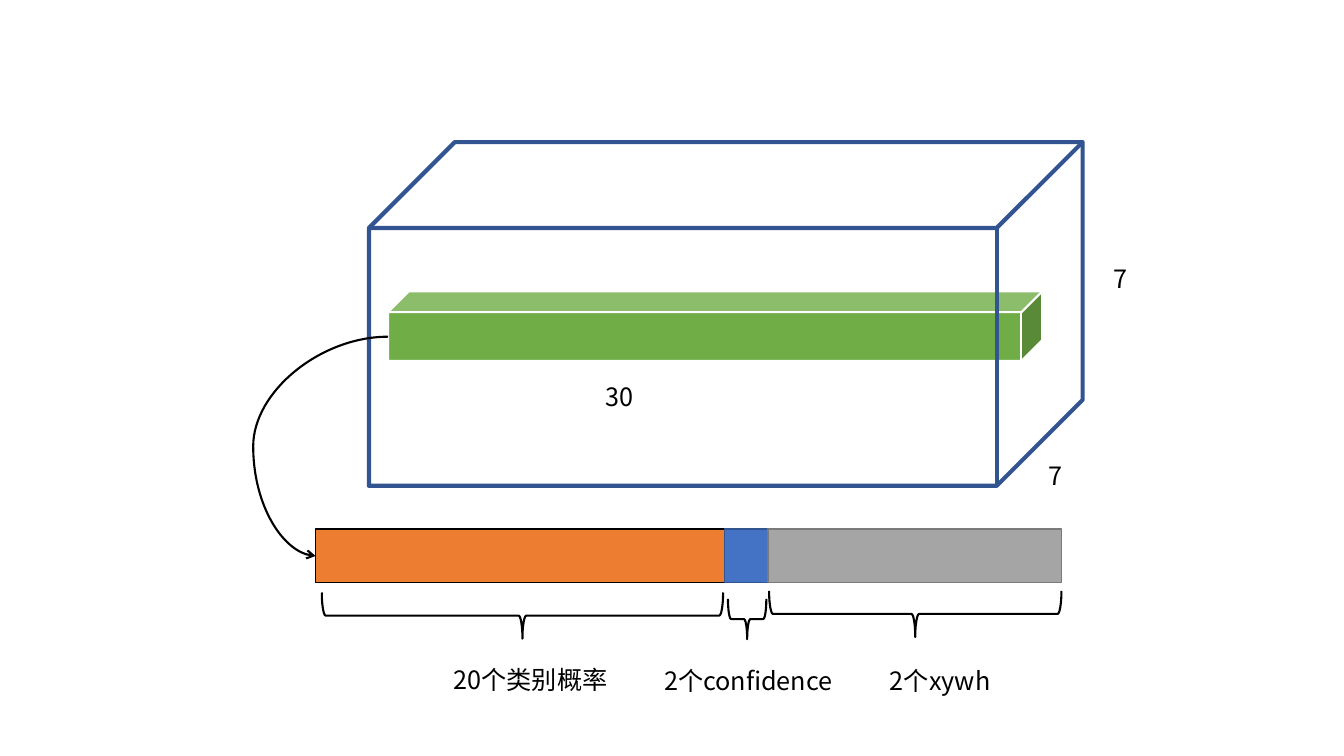
from lxml import etree
from pptx import Presentation
from pptx.dml.color import RGBColor
from pptx.enum import shapes, text
from pptx.oxml.ns import qn
from pptx.util import Pt

FONT = "Noto Sans CJK SC"
BLACK, BLUE_EDGE = "000000", "325491"
BAR_LEFT, BAR_TOP, BAR_HEIGHT = 225.4, 378, 38.2

# Bar segments: width, fill, edge, brace (left, top, span, depth), label (text, left, top)
SEGMENTS = [
    (292.3, "ED7D31", BLACK, (229.9, 423.2, 286.6, 33), ("20个类别概率", 316.8, 470.9)),
    (31, "4472C4", BLUE_EDGE, (520, 427.8, 27.4, 28.8), ("2个confidence", 467.3, 471.6)),
    (209.5, "A5A5A5", "7A7A7A", (549.4, 422, 208.8, 33), ("2个xywh", 628.6, 471.6)),
]
# Tensor sizes: text, left, top, width
DIMENSIONS = [("7", 741.6, 325.4, 29.5), ("7", 788.4, 184.3, 32.4), ("30", 425.5, 268.6, 92.9)]
LABEL_WIDTH, LABEL_HEIGHT = 149.8, 33.1
CELL = (277.2, 208.1, 467.3, 49.7)
TENSOR = (263.5, 101.5, 509.8, 245.5)


def color(value):
    """Turn a hex string into a colour."""
    return RGBColor.from_string(value)


def add_outline(kind, box, edge, weight, fill=None):
    """Add a preset shape with an edge and an optional fill."""
    shape = slide.shapes.add_shape(kind, *map(Pt, box))
    shape.shadow.inherit = False
    shape.line.color.rgb = color(edge)
    shape.line.width = Pt(weight)
    if fill:
        shape.fill.solid()
        shape.fill.fore_color.rgb = color(fill)
    else:
        shape.fill.background()
    return shape


def add_brace(left, top, span, depth):
    """Add a brace that opens upward over the given span."""
    box = (left + (span - depth) / 2, top + (depth - span) / 2, depth, span)
    add_outline(shapes.MSO_SHAPE.LEFT_BRACE, box, BLACK, 1.5).rotation = 270


def add_label(words, left, top, width=LABEL_WIDTH):
    """Add one line of black text."""
    label = slide.shapes.add_textbox(*map(Pt, (left, top, width, LABEL_HEIGHT)))
    label.text_frame.word_wrap = True
    label.text_frame.auto_size = text.MSO_AUTO_SIZE.SHAPE_TO_FIT_TEXT
    line = label.text_frame.paragraphs[0]
    line.text = words
    line.font.name, line.font.size = FONT, Pt(18)
    line.font.color.rgb = color(BLACK)
    for properties in (line.font._element, line.runs[0]._r.get_or_add_rPr()):
        for script in ("a:latin", "a:ea"):
            for old in properties.findall(qn(script)):
                properties.remove(old)
            etree.SubElement(properties, qn(script), typeface=FONT)


def add_curved_arrow(start, end, bend):
    """Add a curved arrow whose bend is a share of its width."""
    arrow = slide.shapes.add_connector(
        shapes.MSO_CONNECTOR.CURVE, *map(Pt, start + end))
    arrow.line.color.rgb = color(BLACK)
    arrow.line.width = Pt(1.5)
    properties = arrow._element.spPr
    guides = properties.find(qn("a:prstGeom")).get_or_add_avLst()
    etree.SubElement(guides, qn("a:gd"), name="adj1", fmla=f"val {round(bend * 100000)}")
    etree.SubElement(arrow.line._get_or_add_ln(), qn("a:tailEnd"), type="arrow")
    etree.SubElement(properties, qn("a:effectLst"))


deck = Presentation()
deck.slide_width, deck.slide_height = Pt(960), Pt(540)
slide = deck.slides.add_slide(deck.slide_layouts[6])

cell = add_outline(shapes.MSO_SHAPE.CUBE, CELL, "FFFFFF", 1.5, "70AD47")
cell.adjustments[0] = 0.3
add_outline(shapes.MSO_SHAPE.CUBE, TENSOR, BLUE_EDGE, 3)
for dimension in DIMENSIONS:
    add_label(*dimension)

segment_left = BAR_LEFT
for width, fill, edge, brace, label in SEGMENTS:
    segment = (segment_left, BAR_TOP, width, BAR_HEIGHT)
    add_outline(shapes.MSO_SHAPE.RECTANGLE, segment, edge, 1, fill)
    add_brace(*brace)
    add_label(*label)
    segment_left += width

add_curved_arrow((277.2, 240.5), (BAR_LEFT, BAR_TOP + BAR_HEIGHT / 2), 1.86)

deck.save("out.pptx")
